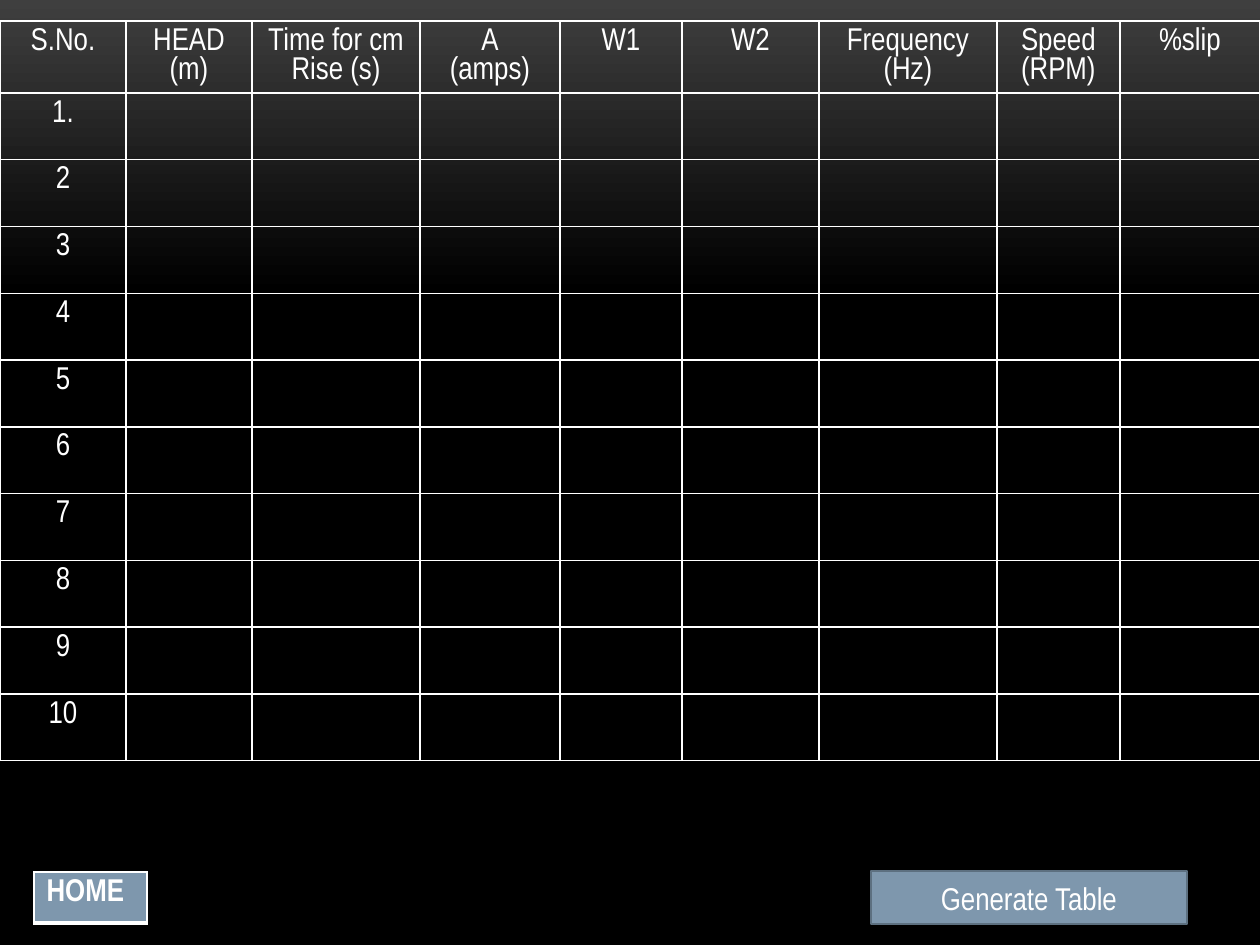
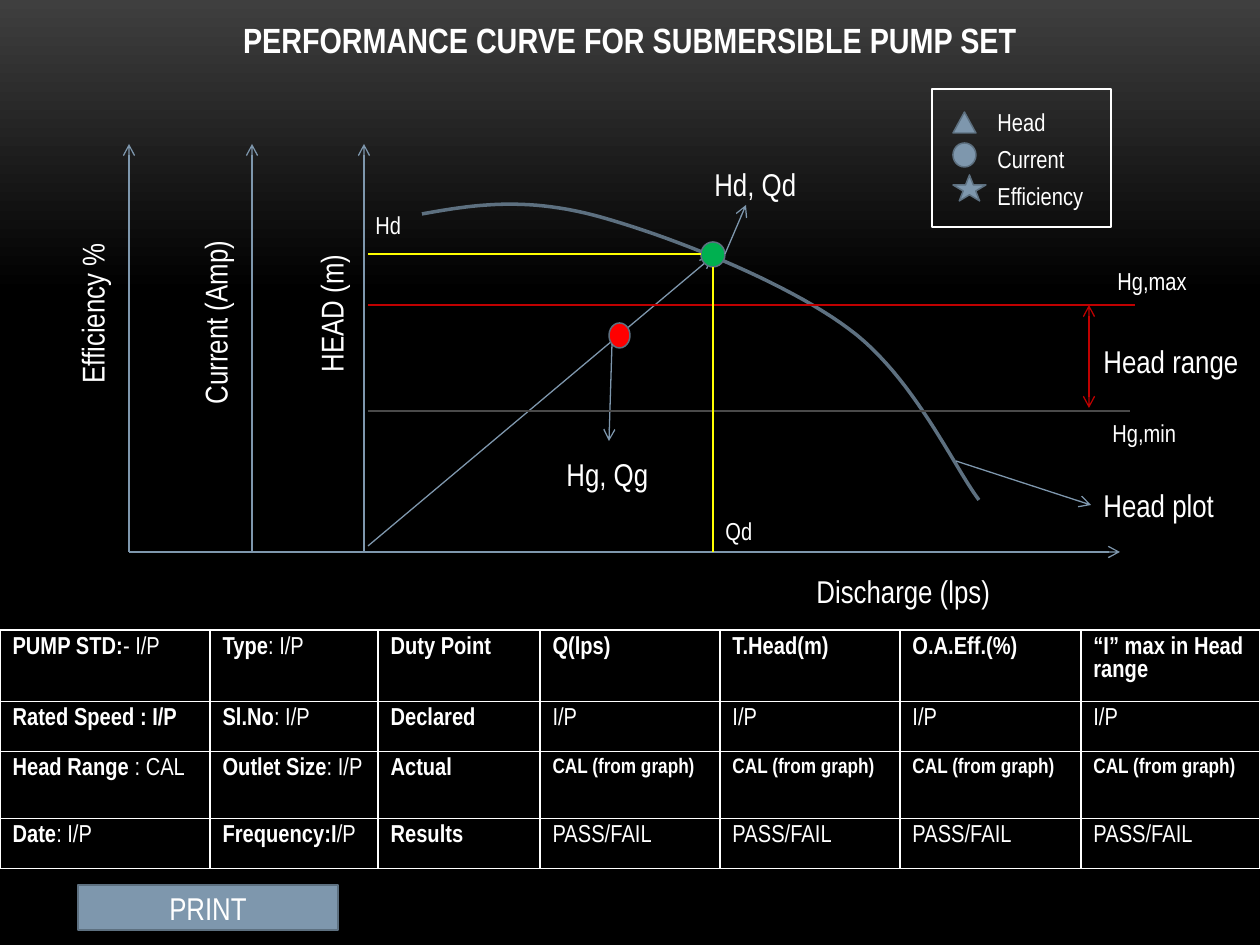
from lxml.etree import SubElement
from pptx import Presentation
from pptx.dml.color import RGBColor as RGB
from pptx.enum.shapes import MSO_CONNECTOR as CONN, MSO_SHAPE as SHAPE
from pptx.enum.text import MSO_ANCHOR as ANCHOR, PP_ALIGN as ALIGN
from pptx.oxml.ns import qn
from pptx.util import Emu, Pt

PX_PER_INCH = 126
SLIDE_W, SLIDE_H = 1260, 945
FONT = "Arial Narrow"
COLORS = {
    "white": "FFFFFF", "steel": "7E97AD", "edge": "5D7080", "red": "FF0000",
    "green": "00B050", "crimson": "C00000", "yellow": "FFFF00",
    "grey": "4A4A4A", "glow": "3F3F3F", "black": "000000",
}


def px(*lengths):
    """Turn pixel lengths into a list of EMU."""
    return [Emu(round(v * 914400 / PX_PER_INCH)) for v in lengths]


def rgb(name):
    """Look up a palette colour."""
    return RGB.from_string(COLORS[name])


def set_attrs(obj, **values):
    """Set each given attribute on the object."""
    for name, value in values.items():
        setattr(obj, name, value)


def add_run(p, text, size=18, bold=False):
    """Append a white run to a paragraph."""
    r = p.add_run()
    r.text = text
    set_attrs(r.font, name=FONT, size=Pt(size), bold=bold)
    r.font.color.rgb = rgb("white")


def add_text(s, text, box, size=18, align=ALIGN.LEFT, bold=False, vert=None):
    """Place a text box, optionally turned."""
    tf = s.shapes.add_textbox(*px(*box)).text_frame
    tf.word_wrap = True
    if vert:
        tf._txBody.bodyPr.set("vert", vert)
    p = tf.paragraphs[0]
    p.alignment = align
    add_run(p, text, size, bold)


def add_box(s, kind, box, fill="steel", line="edge"):
    """Place a flat preset shape."""
    sp = s.shapes.add_shape(kind, *px(*box))
    sp.shadow.inherit = False
    if fill:
        sp.fill.solid()
        sp.fill.fore_color.rgb = rgb(fill)
    else:
        sp.fill.background()
    sp.line.color.rgb = rgb(line)
    sp.line.width = Pt(0.85)
    return sp


def add_button(s, text, box):
    """Place a steel button with a centred caption."""
    tf = add_box(s, SHAPE.RECTANGLE, box).text_frame
    set_attrs(tf, word_wrap=True, vertical_anchor=ANCHOR.MIDDLE)
    p = tf.paragraphs[0]
    p.alignment = ALIGN.CENTER
    add_run(p, text)


def add_line(s, start, end, color="steel", ends=()):
    """Draw a thin line with open arrowheads at the named ends."""
    c = s.shapes.add_connector(CONN.STRAIGHT, *px(*start, *end))
    c.line.color.rgb = rgb(color)
    c.line.width = Pt(0.75)
    spPr = c.element.spPr
    for end_tag in ends:
        SubElement(spPr.find(qn("a:ln")), qn(end_tag), type="arrow")
    SubElement(spPr, qn("a:effectLst"))


def add_borders(cell, bottom):
    """Give a cell white borders, the bottom one in its own width."""
    tcPr = cell._tc.get_or_add_tcPr()
    for side, width in zip("LRTB", (1, 1, 1, bottom)):
        ln = SubElement(tcPr, qn(f"a:ln{side}"), w=str(Pt(width)))
        fill = SubElement(ln, qn("a:solidFill"))
        SubElement(fill, qn("a:srgbClr"), val=COLORS["white"])


def fill_cell(cell, text, size, align):
    """Write lines of the form bold|regular into a cell."""
    tf = cell.text_frame
    for i, line in enumerate(text.split("\n")):
        p = tf.add_paragraph() if i else tf.paragraphs[0]
        p.alignment = align
        for part, bold in zip(line.split("|"), (True, False)):
            if part:
                add_run(p, part, size, bold)


def add_grid(s, x, y, widths, heights, rows, size=18, align=ALIGN.LEFT,
             fill=None, bottom=1, small=()):
    """Build a ruled table; texts listed in small get 12 points."""
    table = s.shapes.add_table(len(heights), len(widths),
                               *px(x, y, sum(widths), sum(heights))).table
    set_attrs(table, first_row=False, horz_banding=False)
    for column, width in zip(table.columns, px(*widths)):
        column.width = width
    for row, height, texts in zip(table.rows, px(*heights), rows):
        row.height = height
        for cell, text in zip(row.cells, texts):
            add_borders(cell, bottom)
            if fill:
                cell.fill.solid()
                cell.fill.fore_color.rgb = rgb(fill)
            else:
                cell.fill.background()
            fill_cell(cell, text, 12 if text in small else size, align)


def add_slide(prs):
    """Add a blank slide with the dark gradient."""
    s = prs.slides.add_slide(prs.slide_layouts[6])
    fill = s.background.fill
    fill.gradient()
    fill.gradient_angle = 270
    stops = zip(fill.gradient_stops, ("glow", "black"), (0, 0.31))
    for stop, color, position in stops:
        stop.color.rgb = rgb(color)
        stop.position = position
    return s


def bezier(p0, p1, p2, p3, steps=24):
    """List points of a cubic curve after its start."""
    points = []
    for i in range(1, steps + 1):
        t = i / steps
        u = 1 - t
        weights = (u ** 3, 3 * u * u * t, 3 * u * t * t, t ** 3)
        points.append(tuple(sum(w * q[k] for w, q in zip(weights, (p0, p1, p2, p3)))
                            for k in (0, 1)))
    return points


def add_head_curve(s, knots):
    """Draw the head plot through chained cubic curves."""
    points = [p for i in range(0, len(knots) - 1, 3) for p in bezier(*knots[i:i + 4])]
    pen = s.shapes.build_freeform(*px(*knots[0]))
    pen.add_line_segments([tuple(px(*p)) for p in points], close=False)
    sp = pen.convert_to_shape()
    sp.shadow.inherit = False
    sp.fill.background()
    sp.line.color.rgb = rgb("edge")
    sp.line.width = Pt(2)


def add_plot(s, x, y, w, h):
    """Draw axes, head curve, duty points and their labels in a box."""
    def at(dx, dy):
        return x + dx, y + dy

    tail = ("a:tailEnd",)
    axes = [(0, "Efficiency %", -62, 84, 171), (123, "Current (Amp)", 61, 60, 237),
            (235, "HEAD (m)", 177, 84, 171)]
    for dx, label, left, top, length in axes:
        add_line(s, at(dx, h), at(dx, 0), ends=tail)
        add_text(s, label, (*at(left, top), 63, length), align=ALIGN.CENTER,
                 vert="vert270")
    add_line(s, at(0, h), at(w, h), ends=tail)

    knots = [(293, 70), (343, 61), (394, 53), (464, 71), (536, 90),
             (656, 137), (720, 185), (784, 232), (825, 323), (850, 356)]
    add_head_curve(s, [at(*k) for k in knots])
    add_line(s, at(239, 402), at(583, 113), ends=tail)
    for dx, dy, dot_w, color in [(480, 179, 21, "red"), (572, 98, 24, "green")]:
        add_box(s, SHAPE.FLOWCHART_CONNECTOR, (*at(dx, dy), dot_w, 25), color)

    lines = [
        ((483, 200), (480, 297), "steel", tail),
        ((596, 110), (617, 61), "steel", tail),
        ((827, 317), (962, 361), "steel", tail),
        ((1006, 161), (239, 161), "crimson", ()),
        ((239, 267), (1001, 267), "grey", ()),
        ((960, 161), (960, 264), "crimson", ("a:headEnd", "a:tailEnd")),
        ((584, 123), (584, h), "yellow", ()),
        ((572, 110), (239, 110), "yellow", ()),
    ]
    for start, end, color, ends in lines:
        add_line(s, at(*start), at(*end), color, ends)

    labels = [
        ("Discharge (lps)", 675, 422, 348, 18), ("Hg, Qg", 425, 305, 118, 18),
        ("Hd, Qd", 573, 15, 118, 18), ("Head range", 962, 192, 168, 18),
        ("Head plot", 962, 336, 145, 18), ("Hd", 234, 60, 60, 14),
        ("Qd", 584, 366, 60, 14), ("Hg,max", 976, 116, 105, 14),
        ("Hg,min", 971, 268, 100, 14),
    ]
    for text, dx, dy, width, size in labels:
        add_text(s, text, (*at(dx, dy), width, 50 if size == 18 else 43), size)


def add_legend(s, x, y, w, h):
    """Draw the framed legend of markers."""
    markers = [(SHAPE.ISOSCELES_TRIANGLE, 23, 23, 21, "Head"),
               (SHAPE.OVAL, 54, 23, 24, "Current"),
               (SHAPE.STAR_5_POINT, 86, 33, 26, "Efficiency")]
    for i, (kind, dy, mark_w, mark_h, label) in enumerate(markers):
        add_box(s, kind, (x + 21, y + dy, mark_w, mark_h))
        add_text(s, label, (x + 53, y + 12 + 37 * i, 156, 43), 14)
    add_box(s, SHAPE.RECTANGLE, (x, y, w, h), fill=None, line="white")


def build_readings(prs):
    """Build the slide with the empty readings table."""
    s = add_slide(prs)
    header = ["|S.No.", "|HEAD\n|(m)", "|Time for cm Rise (s)", "|A\n|(amps)", "|W1",
              "|W2", "|Frequency (Hz)", "|Speed\n|(RPM)", "|%slip"]
    numbers = ["1."] + [str(n) for n in range(2, 11)]
    rows = [header] + [[f"|{n}"] + [""] * 8 for n in numbers]
    widths = [126, 126, 168, 140, 122, 137, 178, 123, 140]
    add_grid(s, 0, 21, widths, [72] + [66.8] * 10, rows, align=ALIGN.CENTER)
    add_button(s, "Generate Table", (871, 871, 316, 53))
    add_grid(s, 34, 872, [113], [51], [["HOME"]], fill="steel", bottom=3)


def build_performance(prs):
    """Build the slide with the performance curve and result table."""
    s = add_slide(prs)
    add_text(s, "PERFORMANCE CURVE FOR SUBMERSIBLE PUMP SET",
             (0, 12, SLIDE_W, 55), 20, ALIGN.CENTER, True)
    add_plot(s, 129, 144, 991, 408)
    add_legend(s, 932, 89, 179, 138)
    from_graph = "CAL (from graph)"
    rows = [
        ["PUMP STD:|- I/P", "Type|: I/P", "Duty Point", "Q(lps)", "T.Head(m)",
         "O.A.Eff.(%)", "“I” max in Head range"],
        ["Rated Speed : I/P", "Sl.No|: I/P", "Declared"] + ["|I/P"] * 4,
        ["Head Range |: CAL", "Outlet Size|: I/P", "Actual"] + [from_graph] * 4,
        ["Date|: I/P", "Frequency:I|/P", "Results"] + ["|PASS/FAIL"] * 4,
    ]
    add_grid(s, 0, 630, [210, 168, 162, 180, 180, 181, 179], [71, 50, 67, 50],
             rows, size=14, small=(from_graph,))
    add_button(s, "PRINT", (78, 885, 260, 45))


def main():
    """Build and save the presentation."""
    prs = Presentation()
    prs.slide_width, prs.slide_height = px(SLIDE_W, SLIDE_H)
    build_readings(prs)
    build_performance(prs)
    prs.save("out.pptx")


if __name__ == "__main__":
    main()
